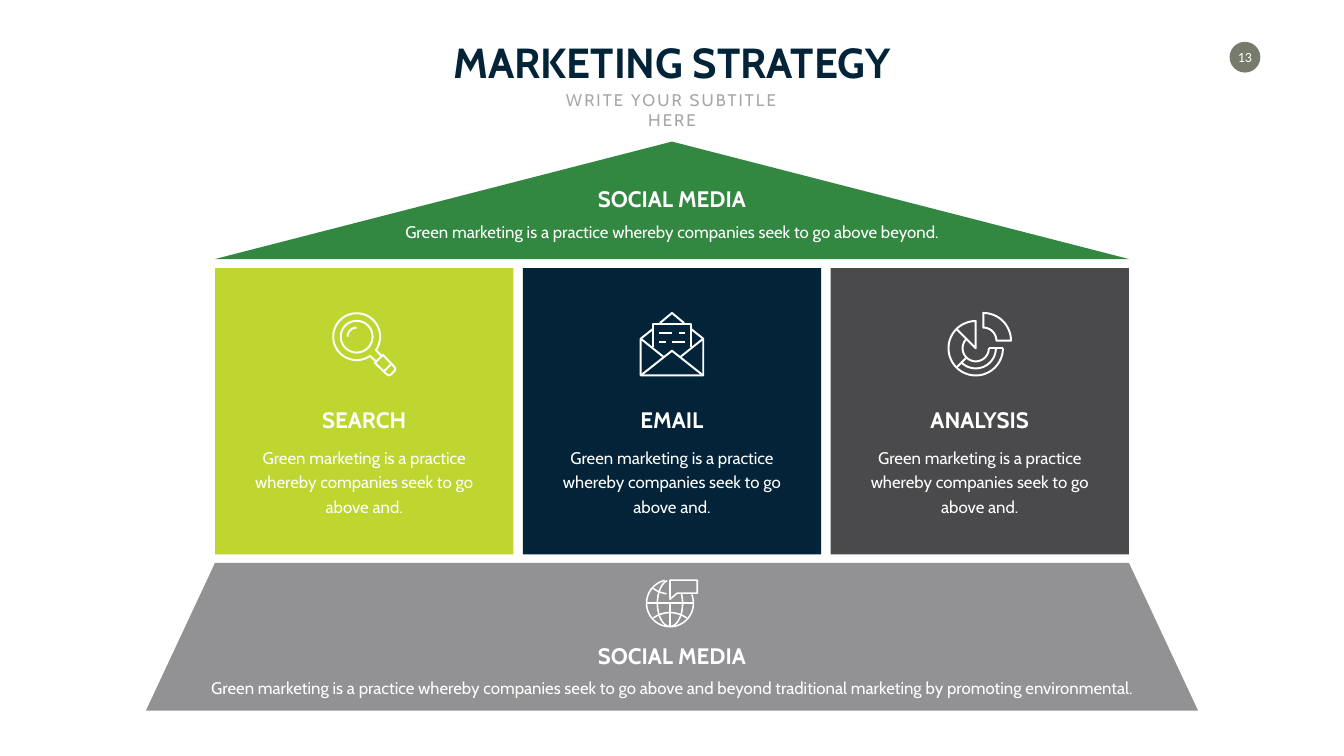
from dataclasses import dataclass
from math import cos, radians, sin

from pptx import Presentation
from pptx.dml.color import RGBColor
from pptx.enum.shapes import MSO_SHAPE
from pptx.enum.text import MSO_ANCHOR, MSO_AUTO_SIZE, PP_ALIGN
from pptx.util import Inches, Pt


@dataclass(frozen=True)
class Theme:
    font: str = "Cabin"
    number_font: str = "Calibri"
    paper: str = "FEFFFE"
    white: str = "FFFFFF"
    navy: str = "022338"
    green: str = "328840"
    lime: str = "BED62F"
    charcoal: str = "4A4A4C"
    gray: str = "929294"
    subtitle: str = "A6A6A6"
    badge: str = "767B6C"
    title_size: int = 60
    heading_size: int = 32
    body_size: int = 24
    number_size: int = 20
    body_leading: int = 35


theme = Theme()


def write(box, text, size, color, bold=False, anchor=MSO_ANCHOR.TOP, font=theme.font):
    """Put one centred line of formatted text into a shape and return its paragraph."""
    frame = box.text_frame
    frame.text = text
    frame.word_wrap = True
    frame.auto_size = MSO_AUTO_SIZE.NONE
    frame.vertical_anchor = anchor
    para = frame.paragraphs[0]
    para.alignment = PP_ALIGN.CENTER
    para.space_before = Pt(0)
    span = para.runs[0].font
    span.name, span.size, span.bold = font, Pt(size), bold
    span.color.rgb = RGBColor.from_string(color)
    return para


def arc(x, y, radius_x, start, end, radius_y=None):
    """Points along an arc; degrees run clockwise from the right."""
    radius_y = radius_y or radius_x
    steps = max(2, round(abs(end - start) / 5))
    angles = [radians(start + (end - start) * i / steps) for i in range(steps + 1)]
    return [(x + radius_x * cos(a), y + radius_y * sin(a)) for a in angles]


# Grid of the house, in inches
slide_width, slide_height = 26.66, 15
middle = slide_width / 2
house_width, base_width = 18.13, 20.87
house_left = (slide_width - house_width) / 2
base_left = (slide_width - base_width) / 2
column = 5.92
pitch = (house_width - column) / 2
roof_top, roof_height = 2.81, 2.33
wall_top, wall_height = 5.32, 5.68
base_top, base_height = 11.17, 2.93
icon_row = 6.83

deck = Presentation()
deck.slide_width, deck.slide_height = Inches(slide_width), Inches(slide_height)
page = deck.slides.add_slide(deck.slide_layouts[0])
page.background.fill.solid()
page.background.fill.fore_color.rgb = RGBColor.from_string(theme.paper)

# Title and subtitle
title, subtitle = page.placeholders
for box, width, top, height in [(title, 9.73, 0.67, 1.11), (subtitle, 5.43, 1.72, 0.9)]:
    box.left, box.top = Inches(middle - width / 2), Inches(top)
    box.width, box.height = Inches(width), Inches(height)
write(title, "MARKETING STRATEGY", theme.title_size, theme.navy, bold=True)
para = write(subtitle, "WRITE YOUR SUBTITLE HERE", theme.body_size, theme.subtitle)
para.runs[0].font._element.set("spc", "300")

# House parts and page badge
parts = [
    (MSO_SHAPE.OVAL, 24.39, 0.83, 0.61, 0.61, theme.badge),
    (MSO_SHAPE.ISOSCELES_TRIANGLE, house_left, roof_top, house_width, roof_height, theme.green),
    (MSO_SHAPE.TRAPEZOID, base_left, base_top, base_width, base_height, theme.gray),
]
for index, color in enumerate([theme.lime, theme.navy, theme.charcoal]):
    parts.append((MSO_SHAPE.RECTANGLE, house_left + index * pitch, wall_top,
                  column, wall_height, color))
for kind, left, top, width, height, color in parts:
    shape = page.shapes.add_shape(kind, Inches(left), Inches(top), Inches(width), Inches(height))
    shape.shadow.inherit = False
    shape.fill.solid()
    shape.fill.fore_color.rgb = RGBColor.from_string(color)
    shape.line.fill.background()
    if kind == MSO_SHAPE.TRAPEZOID:
        shape.adjustments[0] = (base_width - house_width) / 2 / base_height
    if kind == MSO_SHAPE.OVAL:
        frame = shape.text_frame
        frame.margin_left = frame.margin_right = frame.margin_top = frame.margin_bottom = 0
        write(shape, "13", theme.number_size, theme.white,
              anchor=MSO_ANCHOR.MIDDLE, font=theme.number_font)

# Headings with their texts: heading, text, centre, heading top, text top, text width, text height
practice = "Green marketing is a practice whereby companies seek to go above"
captions = [
    ("SOCIAL MEDIA", f"{practice} beyond.", middle, 3.61, 4.26, 11.18, 0.54),
    ("SOCIAL MEDIA", f"{practice} and beyond traditional marketing by promoting environmental.",
     middle, 12.68, 13.32, 19.05, 0.54),
]
for index, heading in enumerate(["SEARCH", "EMAIL", "ANALYSIS"]):
    captions.append((heading, f"{practice} and.", middle + (index - 1) * pitch,
                     8, 8.74, 4.8, 1.52))
for heading, text, centre, heading_top, text_top, width, height in captions:
    left = Inches(centre - width / 2)
    box = page.shapes.add_textbox(left, Inches(heading_top), Inches(width), Inches(0.64))
    write(box, heading, theme.heading_size, theme.white, bold=True, anchor=MSO_ANCHOR.BOTTOM)
    box = page.shapes.add_textbox(left, Inches(text_top), Inches(width), Inches(height))
    para = write(box, text, theme.body_size, theme.white)
    para.line_spacing = Pt(theme.body_leading)

# Icons: strokes in inches around each icon's centre
magnifier = [
    [(0.22, 0.33)] + arc(-0.15, -0.15, 0.465, 55, 395) + [(0.33, 0.22)],
    arc(-0.15, -0.15, 0.315, 0, 360),
    arc(-0.15, -0.15, 0.18, 180, 270),
    [(0.21, 0.37), (0.37, 0.21), (0.6, 0.45), (0.62, 0.49), (0.6, 0.53),
     (0.53, 0.6), (0.49, 0.62), (0.45, 0.6), (0.21, 0.37)],
    [(0.4, 0.53), (0.53, 0.4)],
]
envelope = [
    [(-0.38, -0.3), (-0.62, -0.11), (-0.62, 0.62), (0.62, 0.62), (0.62, -0.11), (0.38, -0.3)],
    [(-0.24, -0.42), (0, -0.62), (0.24, -0.42)],
    [(-0.38, 0.05), (-0.38, -0.4), (0.38, -0.4), (0.38, 0.05)],
    [(-0.62, 0.62), (0, 0.13), (0.62, 0.62)],
    [(-0.62, -0.11), (-0.17, 0.25)],
    [(0.62, -0.11), (0.17, 0.25)],
    [(-0.25, -0.22), (0, -0.22)],
    [(0.13, -0.22), (0.26, -0.22)],
    [(-0.25, -0.04), (-0.12, -0.04)],
    [(0, -0.04), (0.26, -0.04)],
]
ring = (-0.08, 0.08)
pie = [
    arc(*ring, 0.54, 0, 270) + [ring] + arc(*ring, 0.54, 225, 225)[:1],
    arc(*ring, 0.26, 0, 225),
    arc(*ring, 0.4, 0, 135),
    [(ring[0] + 0.26, ring[1]), (ring[0] + 0.54, ring[1])],
    [arc(*ring, radius, 135, 135)[0] for radius in (0.26, 0.54)],
    arc(0.07, -0.07, 0.55, 270, 360) + arc(0.07, -0.07, 0.26, 360, 270) + [(0.07, -0.62)],
]
axis = -0.04
globe = [
    arc(axis, 0, 0.465, -22, 257),
    arc(axis, 0, 0.25, 90, 257, 0.46),
    arc(axis, 0, 0.25, -25, 90, 0.46),
    arc(axis, 0.75, 0.565, 234, 306),
    arc(axis, -0.75, 0.565, 126, 97),
    [(axis - 0.46, 0), (axis + 0.46, 0)],
    [(axis, 0), (axis, 0.46)],
    [(axis, -0.46), (0.5, -0.46), (0.5, -0.2), (0.1, -0.2), (axis, -0.08), (axis, -0.46)],
]
icons = [
    (magnifier, middle - pitch, icon_row, 2.8),
    (envelope, middle, icon_row, 2.8),
    (pie, middle + pitch, icon_row, 2.8),
    (globe, middle, 11.97, 2.2),
]
for strokes, centre_x, centre_y, weight in icons:
    builder = None
    for stroke in strokes:
        points = [((centre_x + x) * 1000, (centre_y + y) * 1000) for x, y in stroke]
        if builder is None:
            builder = page.shapes.build_freeform(*points[0], scale=Inches(1) / 1000)
        else:
            builder.move_to(*points[0])
        builder.add_line_segments(points[1:], close=False)
    icon = builder.convert_to_shape()
    icon.shadow.inherit = False
    icon.fill.background()
    icon.line.color.rgb = RGBColor.from_string(theme.white)
    icon.line.width = Pt(weight)

deck.save("out.pptx")
